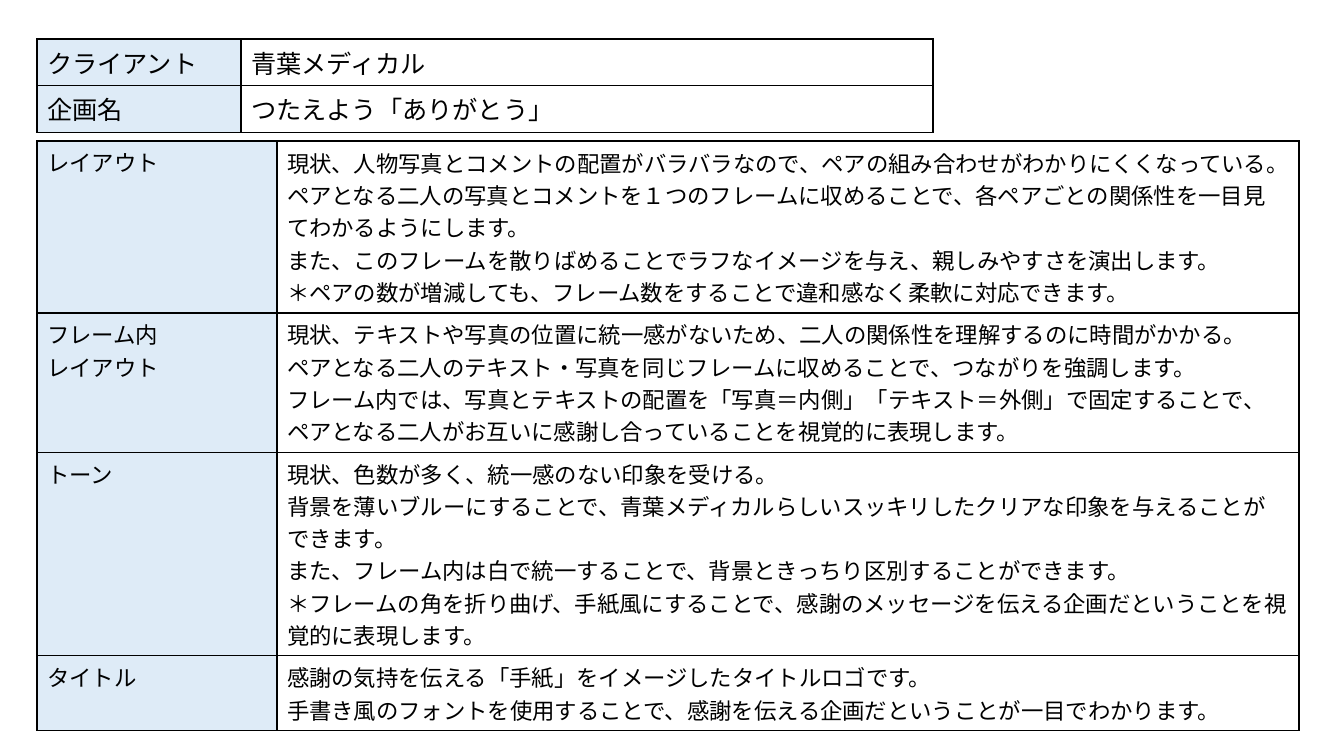
from dataclasses import dataclass

from lxml import etree
from pptx import Presentation
from pptx.dml.color import RGBColor
from pptx.enum.text import MSO_ANCHOR
from pptx.oxml.ns import qn
from pptx.util import Pt

TOP, MIDDLE = MSO_ANCHOR.TOP, MSO_ANCHOR.MIDDLE
EMU_PER_PX = 914400 / 100.8
BORDER_SIDES = ("a:lnL", "a:lnR", "a:lnT", "a:lnB")


@dataclass(frozen=True)
class Theme:
    font: str = "Noto Sans CJK JP"
    ink: str = "000000"
    label_fill: str = "DEEBF7"
    body_fill: str = "FFFFFF"
    header_size: int = 18
    detail_size: int = 16
    border: float = 1
    outline: float = 0.75


def px(value):
    return round(value * EMU_PER_PX)


class SlideBuilder:
    def __init__(self, deck, theme):
        self.theme = theme
        self.slide = deck.slides.add_slide(deck.slide_layouts[6])

    def line(self, parent, tag, width, index):
        """Insert a solid ink line element into cell or text properties."""
        line = etree.Element(qn(tag), w=str(Pt(width)))
        fill = etree.SubElement(line, qn("a:solidFill"))
        etree.SubElement(fill, qn("a:srgbClr"), val=self.theme.ink)
        parent.insert(index, line)

    def text(self, para, words, size, outlined):
        span = para.add_run()
        span.text = words
        formats = {"size": Pt(size), "name": self.theme.font}
        for name, value in formats.items():
            setattr(span.font, name, value)
        span.font.color.rgb = RGBColor.from_string(self.theme.ink)
        properties = span.font._element
        properties.set("lang", "ja-JP")
        etree.SubElement(properties, qn("a:ea"), typeface=self.theme.font)
        if outlined:
            self.line(properties, "a:ln", self.theme.outline, 0)

    def cell(self, cell, paragraphs, fill, size, anchor, outlined):
        cell.vertical_anchor = anchor
        cell.fill.solid()
        cell.fill.fore_color.rgb = RGBColor.from_string(fill)
        for index, side in enumerate(BORDER_SIDES):
            self.line(cell._tc.get_or_add_tcPr(), side, self.theme.border, index)
        frame = cell.text_frame
        for index, words in enumerate(paragraphs):
            para = frame.add_paragraph() if index else frame.paragraphs[0]
            self.text(para, words, size, outlined)

    def label_table(self, left, top, widths, heights, rows, size,
                    body_anchor=TOP, outlined=False):
        """Draw a two-column table of shaded labels and their descriptions."""
        box = (left, top, sum(widths), sum(heights))
        table = self.slide.shapes.add_table(len(rows), 2, *map(px, box)).table
        for column, width in zip(table.columns, widths):
            column.width = px(width)
        for row, height, (label, body) in zip(table.rows, heights, rows):
            row.height = px(height)
            self.cell(row.cells[0], label, self.theme.label_fill, size, TOP, outlined)
            self.cell(row.cells[1], body, self.theme.body_fill, size, body_anchor, False)


# Content: label paragraphs, then description paragraphs
PROJECT = [
    (["クライアント"], ["青葉メディカル"]),
    (["企画名"], ["つたえよう「ありがとう」"]),
]
DESIGN_POINTS = [
    (["レイアウト"], [
        "現状、人物写真とコメントの配置がバラバラなので、ペアの組み合わせがわかりにくくなっている。",
        "ペアとなる二人の写真とコメントを１つのフレームに収めることで、各ペアごとの関係性を一目見てわかるようにします。",
        "また、このフレームを散りばめることでラフなイメージを与え、親しみやすさを演出します。",
        "＊ペアの数が増減しても、フレーム数をすることで違和感なく柔軟に対応できます。",
    ]),
    (["フレーム内", "レイアウト"], [
        "現状、テキストや写真の位置に統一感がないため、二人の関係性を理解するのに時間がかかる。",
        "ペアとなる二人のテキスト・写真を同じフレームに収めることで、つながりを強調します。",
        "フレーム内では、写真とテキストの配置を「写真＝内側」「テキスト＝外側」で固定することで、"
        "ペアとなる二人がお互いに感謝し合っていることを視覚的に表現します。",
    ]),
    (["トーン"], [
        "現状、色数が多く、統一感のない印象を受ける。",
        "背景を薄いブルーにすることで、青葉メディカルらしいスッキリしたクリアな印象を与えることができます。",
        "また、フレーム内は白で統一することで、背景ときっちり区別することができます。",
        "＊フレームの角を折り曲げ、手紙風にすることで、感謝のメッセージを伝える企画だということを視覚的に表現します。",
    ]),
    (["タイトル"], [
        "感謝の気持を伝える「手紙」をイメージしたタイトルロゴです。",
        "手書き風のフォントを使用することで、感謝を伝える企画だということが一目でわかります。",
    ]),
]


def main():
    deck = Presentation()
    deck.slide_width, deck.slide_height = px(1344), px(756)
    theme = Theme()
    page = SlideBuilder(deck, theme)

    # Client and project name
    page.label_table(37, 39, (204, 692), (46, 46), PROJECT, theme.header_size)

    # Design points
    page.label_table(37, 141, (240, 1022), (172, 139, 203, 75), DESIGN_POINTS,
                     theme.detail_size, body_anchor=MIDDLE, outlined=True)

    deck.save("out.pptx")


if __name__ == "__main__":
    main()
